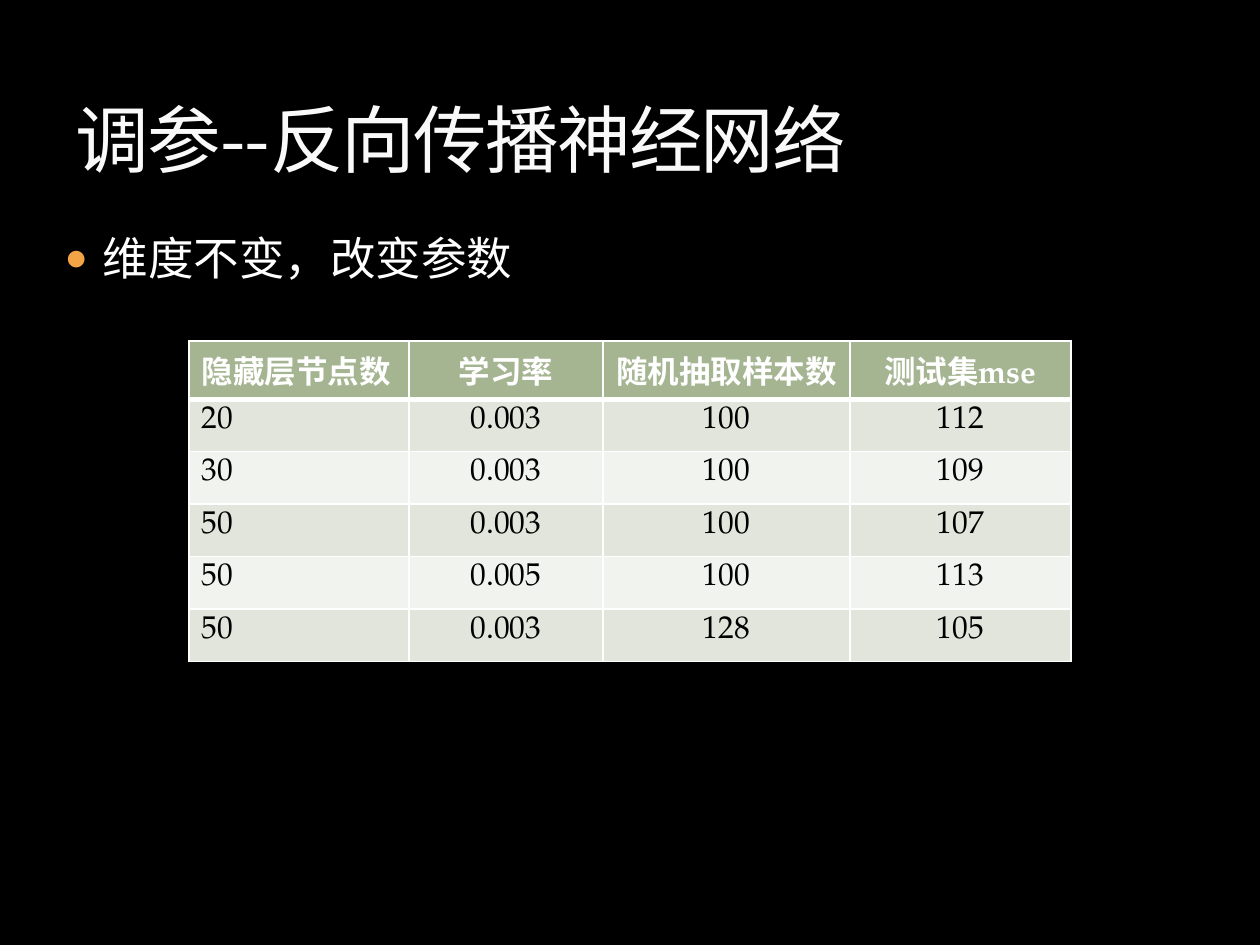
from lxml.etree import SubElement
from pptx import Presentation
from pptx.dml.color import RGBColor
from pptx.enum.text import MSO_ANCHOR as Anchor, MSO_AUTO_SIZE as AutoSize, PP_ALIGN as Align
from pptx.oxml import parse_xml
from pptx.oxml.ns import nsdecls, qn
from pptx.util import Emu, Pt

TITLE = "调参--反向传播神经网络"
BULLET = "维度不变，改变参数"
HEADERS = ["隐藏层节点数", "学习率", "随机抽取样本数", "测试集mse"]
RESULTS = [
    ["20", "0.003", "100", "112"],
    ["30", "0.003", "100", "109"],
    ["50", "0.003", "100", "107"],
    ["50", "0.005", "100", "113"],
    ["50", "0.003", "128", "105"],
]

COLORS = {
    "background": "000000", "title": "F9F9F9", "outline": "3C4422",
    "white": "FFFFFF", "black": "000000", "bullet": "F3A447",
    "header": "A5B592", "odd": "E1E5DC", "even": "F0F3EE",
}
SANS, SERIF = "Noto Sans CJK SC", "TeX Gyre Pagella"
PIXEL = 914400 // 126
TITLE_BOX = (63, 21, 1134, 168)
BODY_BOX = (52, 224, 1183, 616)
TABLE_BOX = (189, 341, 882, 315)
COLUMN_WIDTHS = [220, 194, 247, 221]
INDENT = 38


def px(length):
    """Turn pixels into EMU."""
    return Emu(round(length * PIXEL))


def rgb(name):
    """Look up a named colour."""
    return RGBColor.from_string(COLORS[name])


def write(para, text, size, color, font=SANS, bold=False, align=Align.LEFT):
    """Add one formatted run to a paragraph."""
    para.alignment = align
    span = para.add_run()
    span.text = text
    span.font.size, span.font.bold, span.font.name = Pt(size), bold, font
    span.font.color.rgb = rgb(color)
    SubElement(span.font._element, qn("a:ea"), typeface=SANS)
    return span


def place(box, frame):
    """Move a placeholder and stop its text from shrinking."""
    box.left, box.top, box.width, box.height = map(px, frame)
    box.text_frame.word_wrap = True
    box.text_frame.auto_size = AutoSize.NONE
    return box.text_frame


def add_title(page):
    """Fill the title with thinly outlined text."""
    frame = place(page.shapes.title, TITLE_BOX)
    frame.vertical_anchor = Anchor.BOTTOM
    span = write(frame.paragraphs[0], TITLE, 42, "title")
    props = span.font._element
    props.set("spc", "-100")
    props.insert(0, parse_xml(
        f'<a:ln {nsdecls("a")} w="3175"><a:solidFill><a:srgbClr val="{COLORS["outline"]}">'
        '<a:alpha val="25000"/></a:srgbClr></a:solidFill></a:ln>'))


def add_body(page):
    """Fill the body with the bulleted line."""
    para = place(page.placeholders[1], BODY_BOX).paragraphs[0]
    write(para, BULLET, 26, "white")
    para.space_before = Pt(6)
    props = para._p.get_or_add_pPr()
    props.set("marL", str(px(INDENT)))
    props.set("indent", str(-px(INDENT)))
    color = SubElement(props, qn("a:buClr"))
    SubElement(color, qn("a:srgbClr"), val=COLORS["bullet"])
    SubElement(props, qn("a:buSzPct"), val="85000")
    SubElement(props, qn("a:buChar"), char="●")


def add_borders(cell, bottom):
    """Draw white cell borders, the lower one with its own width."""
    props = cell._tc.get_or_add_tcPr()
    for side, width in zip("LRTB", (1, 1, 1, bottom)):
        line = SubElement(props, qn(f"a:ln{side}"), w=str(Pt(width)))
        fill = SubElement(line, qn("a:solidFill"))
        SubElement(fill, qn("a:srgbClr"), val=COLORS["white"])


def add_results(page):
    """Build the table of parameters and test errors."""
    rows = [HEADERS] + RESULTS
    table = page.shapes.add_table(len(rows), len(HEADERS), *map(px, TABLE_BOX)).table
    for column, width in zip(table.columns, COLUMN_WIDTHS):
        column.width = px(width)
    for r, row in enumerate(rows):
        table.rows[r].height = px(TABLE_BOX[3] / len(rows))
        head = r == 0
        fill = "header" if head else "odd" if r % 2 else "even"
        for c, text in enumerate(row):
            cell = table.cell(r, c)
            add_borders(cell, 3 if head else 1)
            cell.fill.solid()
            cell.fill.fore_color.rgb = rgb(fill)
            write(cell.text_frame.paragraphs[0], text, 18, "white" if head else "black",
                  font=SERIF, bold=head, align=Align.CENTER if c else Align.LEFT)


deck = Presentation()
deck.slide_width, deck.slide_height = px(1260), px(945)
page = deck.slides.add_slide(deck.slide_layouts[1])
page.background.fill.solid()
page.background.fill.fore_color.rgb = rgb("background")
add_title(page)
add_body(page)
add_results(page)
deck.save("out.pptx")
